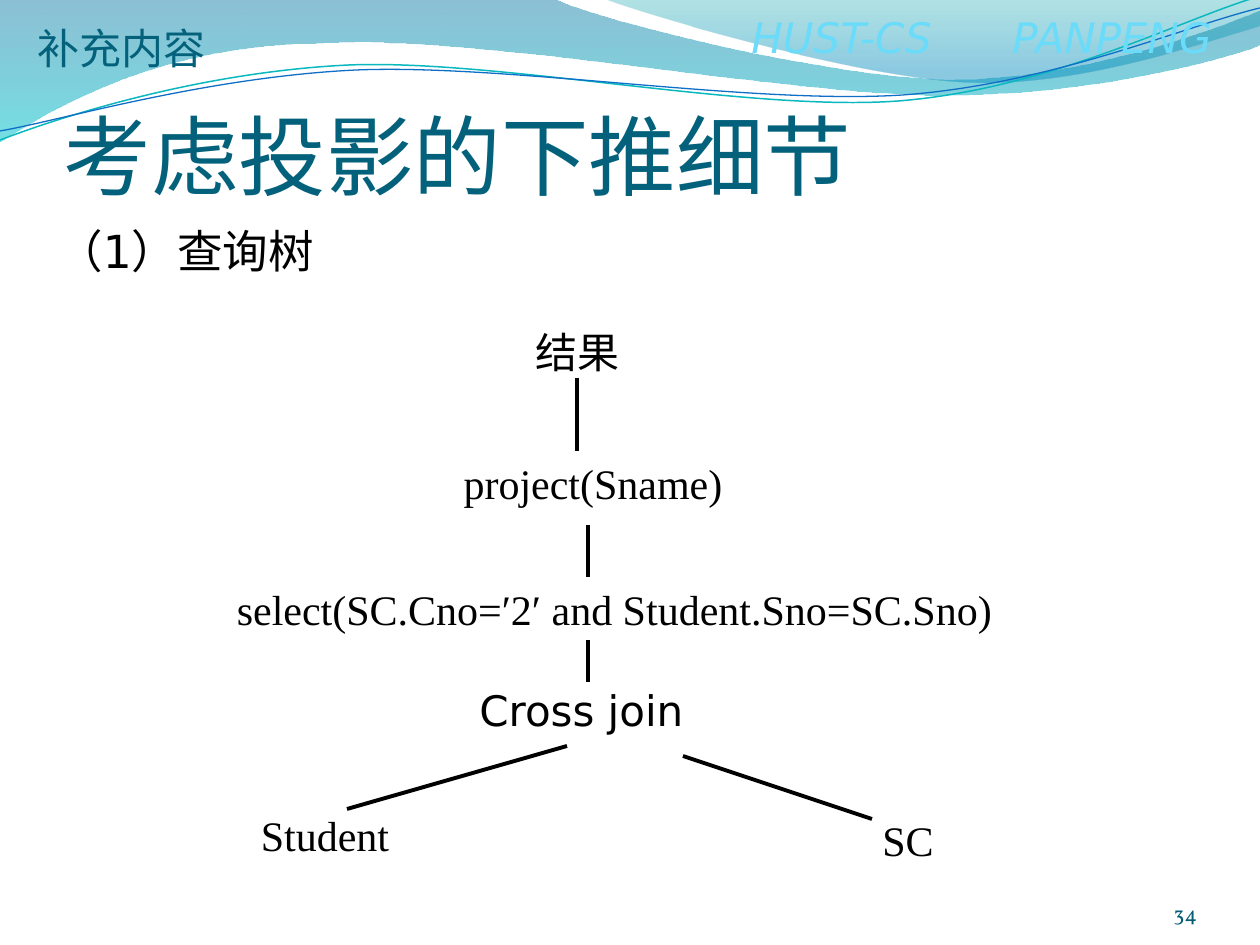
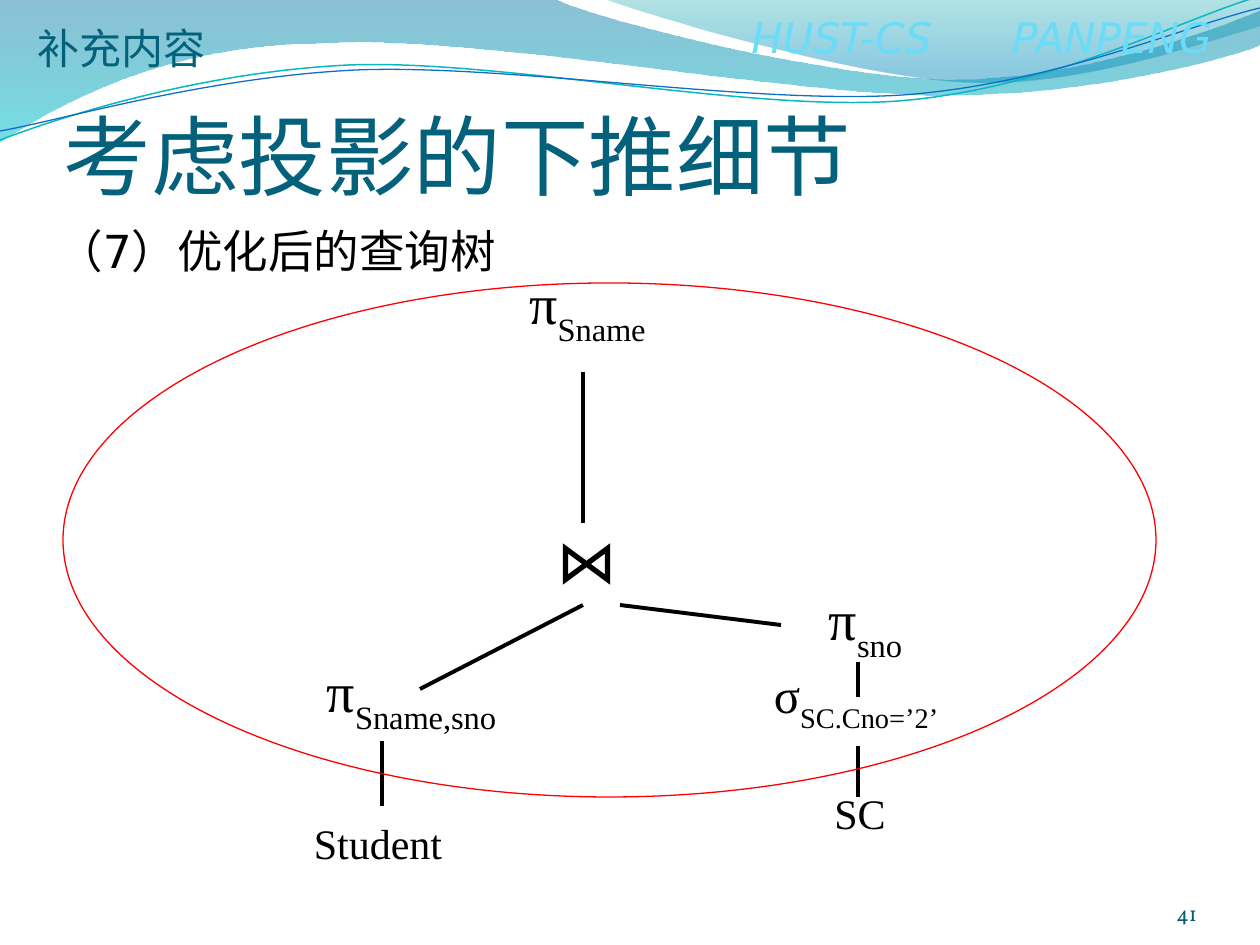
from lxml.etree import SubElement
from pptx import Presentation
from pptx.dml.color import RGBColor
from pptx.enum.shapes import MSO_CONNECTOR, MSO_SHAPE
from pptx.enum.text import MSO_ANCHOR, PP_ALIGN
from pptx.oxml.ns import qn
from pptx.util import Emu, Pt

SCALE = 914400 / 126

BLACK = RGBColor(0x00, 0x00, 0x00)
RED = RGBColor(0xFF, 0x00, 0x00)
TITLE_TEAL = RGBColor(0x04, 0x61, 0x7B)
NUMBER_TEAL = RGBColor(0x04, 0x5D, 0x75)
HEADER_CYAN = RGBColor(0x6B, 0xDB, 0xFA)
DEEP_BLUE = RGBColor(0x00, 0x74, 0xA1)
CYAN = RGBColor(0x00, 0xC6, 0xCF)
TEAL = RGBColor(0x00, 0xA1, 0xA9)
SKY_BLUE = RGBColor(0x00, 0x8B, 0xBF)
LINE_TEAL = RGBColor(0x0A, 0xB8, 0xBF)
LINE_BLUE = RGBColor(0x0F, 0x6F, 0xC6)

SERIF = "Times New Roman"
SANS = "DejaVu Sans"

WIDE_WAVE = [
    [(0, -1)], [(554, -1)],
    [(600, 21), (837, 79), (955, 79)], [(1075, 79), (1207, 33), (1260, 11)],
    [(1261, 45)],
    [(1239, 55), (1096, 96), (940, 95)], [(784, 95), (481, 35), (324, 43)],
    [(163, 44), (58, 105), (-1, 142)],
]
RIGHT_WAVE = [
    [(604, -1)],
    [(641, 14), (859, 78), (969, 82)], [(1079, 87), (1211, 40), (1260, 26)],
    [(1260, 0)],
]
TEAL_STRAND = [
    [(0, 140)], [(60, 117), (199, 72), (349, 65)],
    [(498, 59), (747, 112), (898, 101)], [(1050, 89), (1182, 19), (1257, -3)],
]
BLUE_STRAND = [
    [(0, 131)], [(59, 121), (206, 77), (357, 70)],
    [(508, 64), (752, 105), (903, 95)], [(1053, 84), (1185, 26), (1260, 8)],
]


def px(*lengths):
    return [Emu(round(length * SCALE)) for length in lengths]


def add_outline(page, segments, close):
    corners = [px(*point) for segment in segments for point in segment]
    builder = page.shapes.build_freeform(*corners[0], scale=1.0)
    builder.add_line_segments(corners[1:], close=close)
    outline = builder.convert_to_shape()
    outline.shadow.inherit = False
    bend_segments(outline, segments)
    return outline


def bend_segments(outline, segments):
    strokes = iter(list(outline._element.iter(qn("a:lnTo"))))
    for segment in segments[1:]:
        stroke = next(strokes)
        if len(segment) == 3:
            stroke.tag = qn("a:cubicBezTo")
            for extra in (next(strokes), next(strokes)):
                stroke.append(extra[0])
                extra.getparent().remove(extra)


def add_wave(page, segments, stops):
    wave = add_outline(page, segments, True)
    wave.line.fill.background()
    wave.fill.gradient()
    wave.fill.gradient_angle = 270
    for stop, (position, color, opacity) in zip(wave.fill.gradient_stops, stops):
        stop.position = position
        stop.color.rgb = color
    colors = list(wave._element.iter(qn("a:srgbClr")))
    for element, (position, color, opacity) in zip(colors, stops):
        SubElement(element, qn("a:alpha")).set("val", str(opacity * 1000))


def set_outline(shape, color, width):
    shape.shadow.inherit = False
    shape.fill.background()
    shape.line.color.rgb = color
    shape.line.width = Pt(width)


def add_strand(page, segments, color, width):
    set_outline(add_outline(page, segments, False), color, width)


def format_run(span, font, size, color):
    span.font.name = font
    span.font.size = Pt(size)
    span.font.color.rgb = color


def add_text(page, area, text, font, size, color, align=PP_ALIGN.LEFT,
             anchor=MSO_ANCHOR.TOP, margins=None):
    box = page.shapes.add_textbox(*px(*area))
    frame = box.text_frame
    frame.word_wrap = True
    frame.vertical_anchor = anchor
    if margins:
        (frame.margin_left, frame.margin_top,
         frame.margin_right, frame.margin_bottom) = px(*margins)
    para = frame.paragraphs[0]
    para.text = text
    para.alignment = align
    for span in para.runs:
        format_run(span, font, size, color)
    return para


def add_node(page, area, text, size=24, subscript=None):
    node = page.shapes.add_shape(MSO_SHAPE.RECTANGLE, *px(*area))
    node.shadow.inherit = False
    node.fill.background()
    node.line.fill.background()
    frame = node.text_frame
    frame.word_wrap = False
    frame.vertical_anchor = MSO_ANCHOR.MIDDLE
    para = frame.paragraphs[0]
    para.text = text
    para.alignment = PP_ALIGN.CENTER
    if subscript:
        span = para.add_run()
        span.text = subscript
        span._r.get_or_add_rPr().set("baseline", "-30000")
    for span in para.runs:
        format_run(span, SERIF, size, BLACK)


def add_branch(page, *ends):
    branch = page.shapes.add_connector(MSO_CONNECTOR.STRAIGHT, *px(*ends))
    branch.line.color.rgb = BLACK
    branch.line.width = Pt(2.25)
    SubElement(branch._element.spPr, qn("a:effectLst"))


def add_header(page):
    para = add_text(page, (739, 5, 510, 63), "HUST-CS\tPANPENG",
                    SANS, 24, HEADER_CYAN)
    tabs = SubElement(para._p.get_or_add_pPr(), qn("a:tabLst"))
    tab = SubElement(tabs, qn("a:tab"))
    tab.set("pos", str(px(261)[0]))
    tab.set("algn", "l")
    for span in para.runs:
        span.font.italic = True


def add_page(deck, step, number):
    page = deck.slides.add_slide(deck.slide_layouts[6])
    add_wave(page, WIDE_WAVE, [(0, DEEP_BLUE, 45), (1, CYAN, 55)])
    add_wave(page, RIGHT_WAVE, [(0, TEAL, 30), (0.8, SKY_BLUE, 45)])
    add_strand(page, TEAL_STRAND, LINE_TEAL, 0.85)
    add_strand(page, BLUE_STRAND, LINE_BLUE, 0.75)
    add_header(page)
    add_text(page, (64, 97, 1134, 110), "考虑投影的下推细节", "Calibri", 50,
             TITLE_TEAL, anchor=MSO_ANCHOR.BOTTOM, margins=(0, 6, 0, 0))
    add_text(page, (1092, 876, 105, 50), number, "Vollkorn", 12, NUMBER_TEAL,
             PP_ALIGN.RIGHT, MSO_ANCHOR.BOTTOM, (0, 0, 0, 0))
    add_text(page, (45, 217, 1134, 67), step, SANS, 26, BLACK)
    add_text(page, (25, 16, 195, 63), "补充内容", "Noto Sans CJK SC", 24, TITLE_TEAL)
    return page


def build_query_tree(deck):
    page = add_page(deck, "（1）查询树", "34")
    add_node(page, (483, 315, 189, 73), "结果")
    add_node(page, (446, 451, 294, 63), "project(Sname)")
    add_node(page, (436, 567, 357, 84), "select(SC.Cno=′2′ and Student.Sno=SC.Sno)")
    add_text(page, (467, 678, 262, 63), "Cross join", SANS, 24, BLACK)
    add_node(page, (262, 798, 126, 73), "Student")
    add_node(page, (829, 798, 158, 84), "SC")
    for ends in [
        (577, 378, 577, 451),
        (588, 525, 588, 577),
        (588, 640, 588, 682),
        (567, 746, 347, 809),
        (683, 756, 872, 819),
    ]:
        add_branch(page, *ends)


def build_optimized_tree(deck):
    page = add_page(deck, "（7）优化后的查询树", "41")
    add_node(page, (493, 261, 189, 95), "π", 32, "Sname")
    add_node(page, (317, 649, 189, 95), "π", 32, "Sname,sno")
    add_node(page, (764, 604, 203, 40), "π", 32, "sno")
    add_node(page, (709, 668, 294, 63), "σ", 28, "SC.Cno=’2’")
    add_node(page, (315, 806, 126, 73), "Student")
    add_node(page, (781, 771, 158, 84), "SC")
    for ends in [
        (583, 372, 583, 523),
        (583, 605, 420, 689),
        (620, 605, 781, 625),
        (858, 662, 858, 697),
        (858, 746, 858, 797),
        (382, 741, 382, 806),
    ]:
        add_branch(page, *ends)
    join = page.shapes.add_shape(MSO_SHAPE.FLOWCHART_COLLATE, *px(571, 543, 31, 42))
    join.rotation = 90
    set_outline(join, BLACK, 3)
    outline = join._element.spPr.find(qn("a:ln"))
    SubElement(outline, qn("a:miter")).set("lim", "800000")
    ring = page.shapes.add_shape(MSO_SHAPE.OVAL, *px(63, 283, 1093, 514))
    set_outline(ring, RED, 0.75)


def main():
    deck = Presentation()
    deck.slide_width, deck.slide_height = px(1260, 945)
    build_query_tree(deck)
    build_optimized_tree(deck)
    deck.save("out.pptx")


if __name__ == "__main__":
    main()
